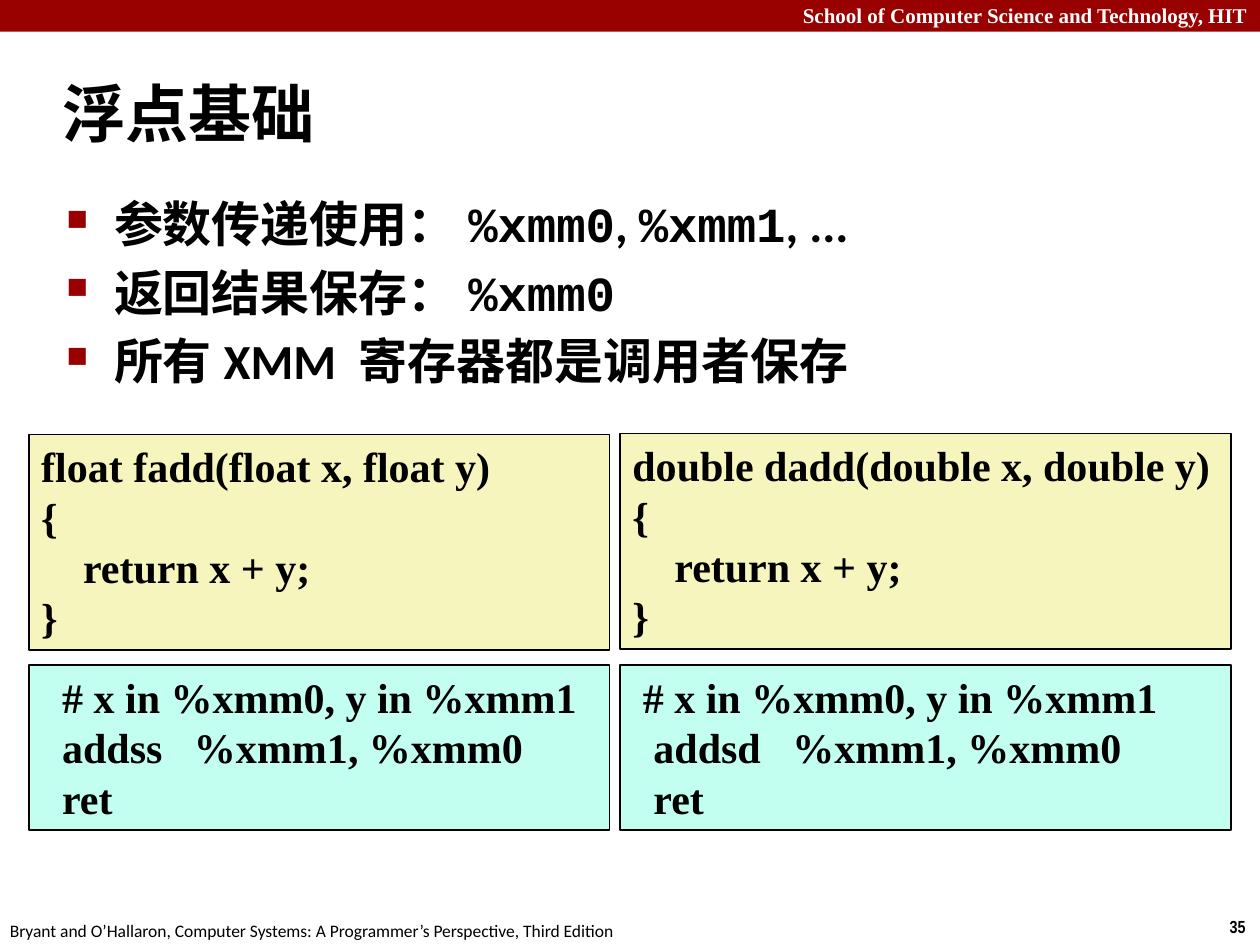
from lxml.etree import SubElement
from pptx import Presentation
from pptx.dml.color import RGBColor
from pptx.enum.shapes import MSO_SHAPE
from pptx.enum.text import MSO_ANCHOR, PP_ALIGN
from pptx.oxml.ns import qn
from pptx.util import Cm, Pt

COLORS = {
    "red": "990000",
    "white": "FFFFFF",
    "black": "000000",
    "source": "F6F5BD",
    "assembly": "C2FFF0",
}
SANS, SERIF, MONO = "Calibri", "Times New Roman", "Courier New"

BULLETS = [
    [("参数传递使用：", SANS), ("%xmm0", MONO), (", ", SANS),
     ("%xmm1", MONO), (", ...", SANS)],
    [("返回结果保存：", SANS), ("%xmm0", MONO)],
    [("所有XMM 寄存器都是调用者保存", SANS)],
]

# Each column: left, width, top of the source box, source lines, assembly lines
CODE_COLUMNS = [
    (0.58, 11.71, 8.76,
     ["float fadd(float x, float y)", "{", "    return x + y;", "}"],
     ["  # x in %xmm0, y in %xmm1", "  addss   %xmm1, %xmm0", "  ret"]),
    (12.5, 12.32, 8.74,
     ["double dadd(double x, double y)", "{", "    return x + y;", "}"],
     [" # x in %xmm0, y in %xmm1", "  addsd   %xmm1, %xmm0", "  ret"]),
]


def color(name):
    return RGBColor.from_string(COLORS[name])


def add_span(para, text, size, font, bold=True, ink="black"):
    span = para.add_run()
    span.text = text
    span.font.size = Pt(size)
    span.font.name = font
    span.font.bold = bold
    span.font.color.rgb = color(ink)


def add_rectangle(page, left, top, width, height, fill, line=None):
    box = page.shapes.add_shape(
        MSO_SHAPE.RECTANGLE, Cm(left), Cm(top), Cm(width), Cm(height))
    box.shadow.inherit = False
    box.fill.solid()
    box.fill.fore_color.rgb = color(fill)
    if line:
        box.line.color.rgb = color(line)
        box.line.width = Pt(1)
    else:
        box.line.fill.background()
    return box


def add_label(page, left, top, width, height, text, size, font,
              bold=True, ink="black", align=PP_ALIGN.LEFT, wrap=False):
    box = page.shapes.add_textbox(Cm(left), Cm(top), Cm(width), Cm(height))
    box.text_frame.word_wrap = wrap
    para = box.text_frame.paragraphs[0]
    para.alignment = align
    add_span(para, text, size, font, bold, ink)


def set_title(page, text):
    title = page.shapes.title
    title.left, title.top = Cm(1), Cm(1.22)
    title.width, title.height = Cm(24.4), Cm(2.1)
    title.text_frame.vertical_anchor = MSO_ANCHOR.MIDDLE
    para = title.text_frame.paragraphs[0]
    para.alignment = PP_ALIGN.LEFT
    add_span(para, text, 36, SANS)


def set_bullet(para):
    props = para._p.get_or_add_pPr()
    props.set("marL", str(Cm(0.96)))
    props.set("indent", str(-Cm(0.96)))
    bullet_color = SubElement(props, qn("a:buClr"))
    SubElement(bullet_color, qn("a:srgbClr"), val=COLORS["red"])
    SubElement(props, qn("a:buSzPct"), val="60000")
    SubElement(props, qn("a:buChar"), char="■")


def add_bullets(page):
    box = page.shapes.add_textbox(Cm(1.09), Cm(3.78), Cm(21.95), Cm(4.55))
    frame = box.text_frame
    frame.word_wrap = True
    for index, spans in enumerate(BULLETS):
        para = frame.add_paragraph() if index else frame.paragraphs[0]
        set_bullet(para)
        if index:
            para.space_before = Pt(5.6)
        for text, font in spans:
            add_span(para, text, 28, font)


def add_code(page, left, top, width, height, fill, lines):
    box = add_rectangle(page, left, top, width, height, fill, "black")
    frame = box.text_frame
    frame.word_wrap = True
    frame.vertical_anchor = MSO_ANCHOR.TOP
    for index, line in enumerate(lines):
        para = frame.add_paragraph() if index else frame.paragraphs[0]
        para.alignment = PP_ALIGN.LEFT
        add_span(para, line, 24, SERIF)


def main():
    deck = Presentation()
    deck.slide_width, deck.slide_height = Cm(25.4), Cm(19.05)
    page = deck.slides.add_slide(deck.slide_layouts[5])

    # Header band and footer
    add_rectangle(page, 0, 0, 25.4, 0.64, "red")
    add_label(page, 0, -0.08, 25.4, 0.76,
              "School of Computer Science and Technology, HIT",
              12, SERIF, ink="white", align=PP_ALIGN.RIGHT, wrap=True)
    add_label(page, 24.54, 18.35, 0.86, 0.69, "35", 10, "Arial Narrow")
    add_label(page, -0.05, 18.42, 12.9, 0.69,
              "Bryant and O’Hallaron, Computer Systems: "
              "A Programmer’s Perspective, Third Edition",
              10, SANS, bold=False)

    # Title and key points
    set_title(page, "浮点基础")
    add_bullets(page)

    # Source code above its assembly
    for left, width, top, source, assembly in CODE_COLUMNS:
        add_code(page, left, top, width, 4.34, "source", source)
        add_code(page, left, 13.41, width, 3.33, "assembly", assembly)

    deck.save("out.pptx")


if __name__ == "__main__":
    main()
